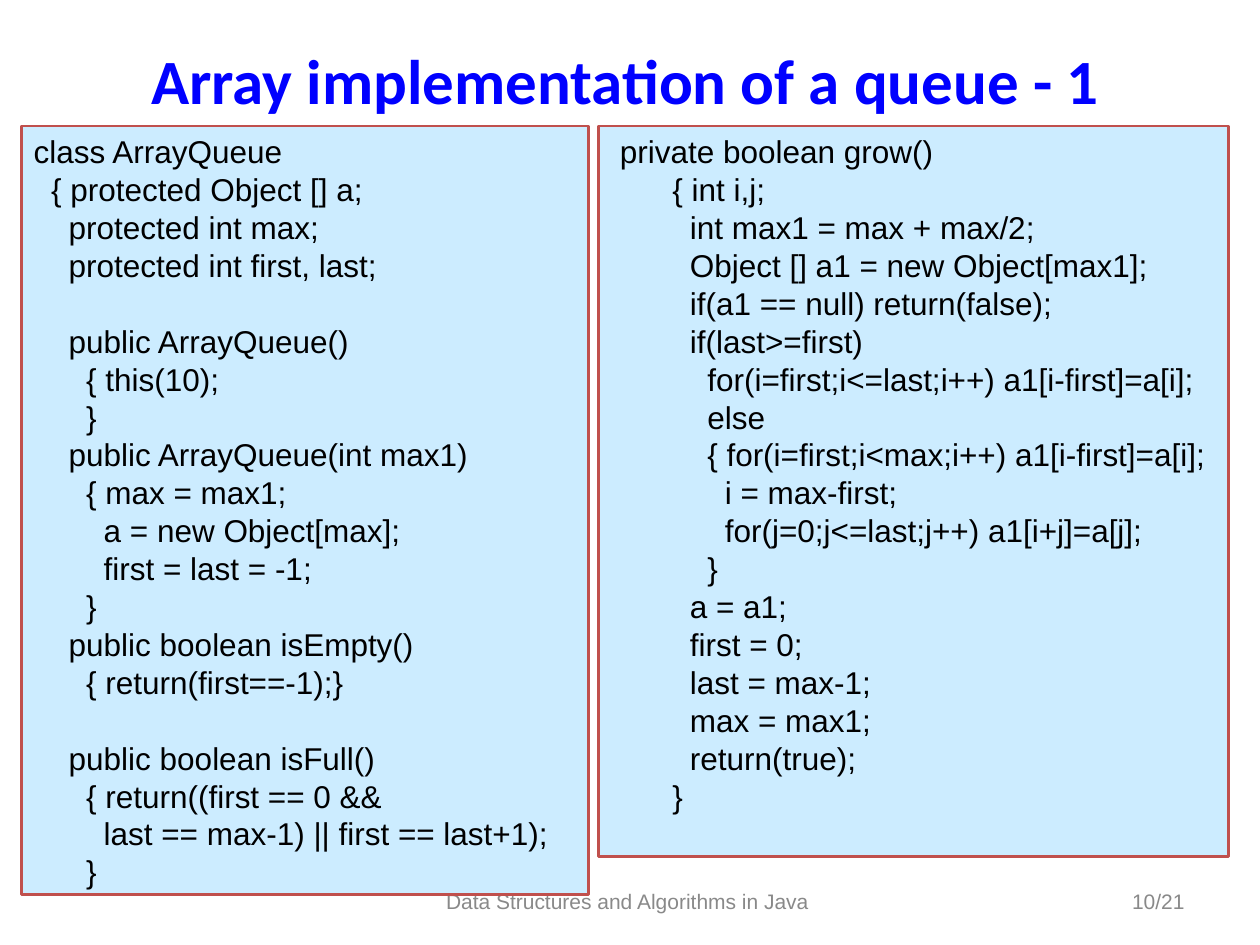
from pptx import Presentation
from pptx.dml.color import RGBColor
from pptx.enum import shapes, text
from pptx.util import Cm, Pt

SPACE_WIDTH = 5      # points, one space at the code size
CODE_LINE = 21.65    # points, height of a code line

QUEUE_CODE = """\
class ArrayQueue
  { protected Object [] a;
    protected int max;
    protected int first, last;

    public ArrayQueue()
      { this(10);
      }
    public ArrayQueue(int max1)
      { max = max1;
        a = new Object[max];
        first = last = -1;
      }
    public boolean isEmpty()
      { return(first==-1);}

    public boolean isFull()
      { return((first == 0 &&
        last == max-1) || first == last+1);
      }"""

GROW_CODE = """\
 private boolean grow()
       { int i,j;
         int max1 = max + max/2;
         Object [] a1 = new Object[max1];
         if(a1 == null) return(false);
         if(last>=first)
           for(i=first;i<=last;i++) a1[i-first]=a[i];
           else
           { for(i=first;i<max;i++) a1[i-first]=a[i];
             i = max-first;
             for(j=0;j<=last;j++) a1[i+j]=a[j];
           }
         a = a1;
         first = 0;
         last = max-1;
         max = max1;
         return(true);
       }"""


def colour(value):
    return RGBColor.from_string(value)


class CodeSlide:
    """Style of the deck and the slide being filled."""
    title_colour, footer_colour, code_colour = "0000FF", "898989", "000000"
    panel_fill, panel_line = "CCECFF", "C0504D"

    def __init__(self, presentation):
        self.slide = presentation.slides.add_slide(presentation.slide_layouts[6])

    def add_run(self, paragraph, words, size, hue, font="Arial", bold=False):
        run = paragraph.add_run()
        run.text = words
        run.font.name, run.font.size, run.font.bold = font, Pt(size), bold
        run.font.color.rgb = colour(hue)

    def label(self, box, words, size, hue, align, **style):
        frame = self.slide.shapes.add_textbox(*map(Cm, box)).text_frame
        frame.word_wrap = True
        frame.vertical_anchor = text.MSO_ANCHOR.MIDDLE
        paragraph = frame.paragraphs[0]
        paragraph.alignment = align
        self.add_run(paragraph, words, size, hue, **style)

    def code_panel(self, box, code):
        shape = self.slide.shapes.add_shape(
            shapes.MSO_SHAPE.RECTANGLE, *map(Cm, box))
        shape.shadow.inherit = False
        shape.fill.solid()
        shape.fill.fore_color.rgb = colour(self.panel_fill)
        shape.line.color.rgb = colour(self.panel_line)
        shape.line.width = Pt(1.5)
        frame = shape.text_frame
        frame.word_wrap = True
        frame.vertical_anchor = text.MSO_ANCHOR.TOP

        # Leading spaces become a left margin, an empty line a gap above
        gap, paragraph = 0, None
        for line in code.splitlines():
            if not line:
                gap += CODE_LINE
                continue
            paragraph = frame.add_paragraph() if paragraph else frame.paragraphs[0]
            paragraph.alignment = text.PP_ALIGN.LEFT
            paragraph.line_spacing = Pt(CODE_LINE)
            paragraph.space_before = Pt(gap)
            words = line.lstrip()
            margin = Pt(SPACE_WIDTH * (len(line) - len(words)))
            paragraph._p.get_or_add_pPr().set("marL", str(margin))
            self.add_run(paragraph, words, 18, self.code_colour)
            gap = 0


presentation = Presentation()
presentation.slide_width, presentation.slide_height = Cm(25.4), Cm(19.05)
page = CodeSlide(presentation)

# Footer
page.label((8.05, 17.65, 9.32, 1.02), "Data Structures and Algorithms in Java ",
           12, page.footer_colour, text.PP_ALIGN.CENTER)
page.label((18.21, 17.65, 5.92, 1.02), "10/21",
           12, page.footer_colour, text.PP_ALIGN.RIGHT)

# Title
page.label((0.64, 0.71, 23.93, 1.78), "Array implementation of a queue - 1",
           36, page.title_colour, text.PP_ALIGN.CENTER, font="Calibri", bold=True)

# Code panels
page.code_panel((0.43, 2.54, 11.43, 15.49), QUEUE_CODE)
page.code_panel((12.07, 2.54, 12.7, 14.73), GROW_CODE)

presentation.save("out.pptx")
